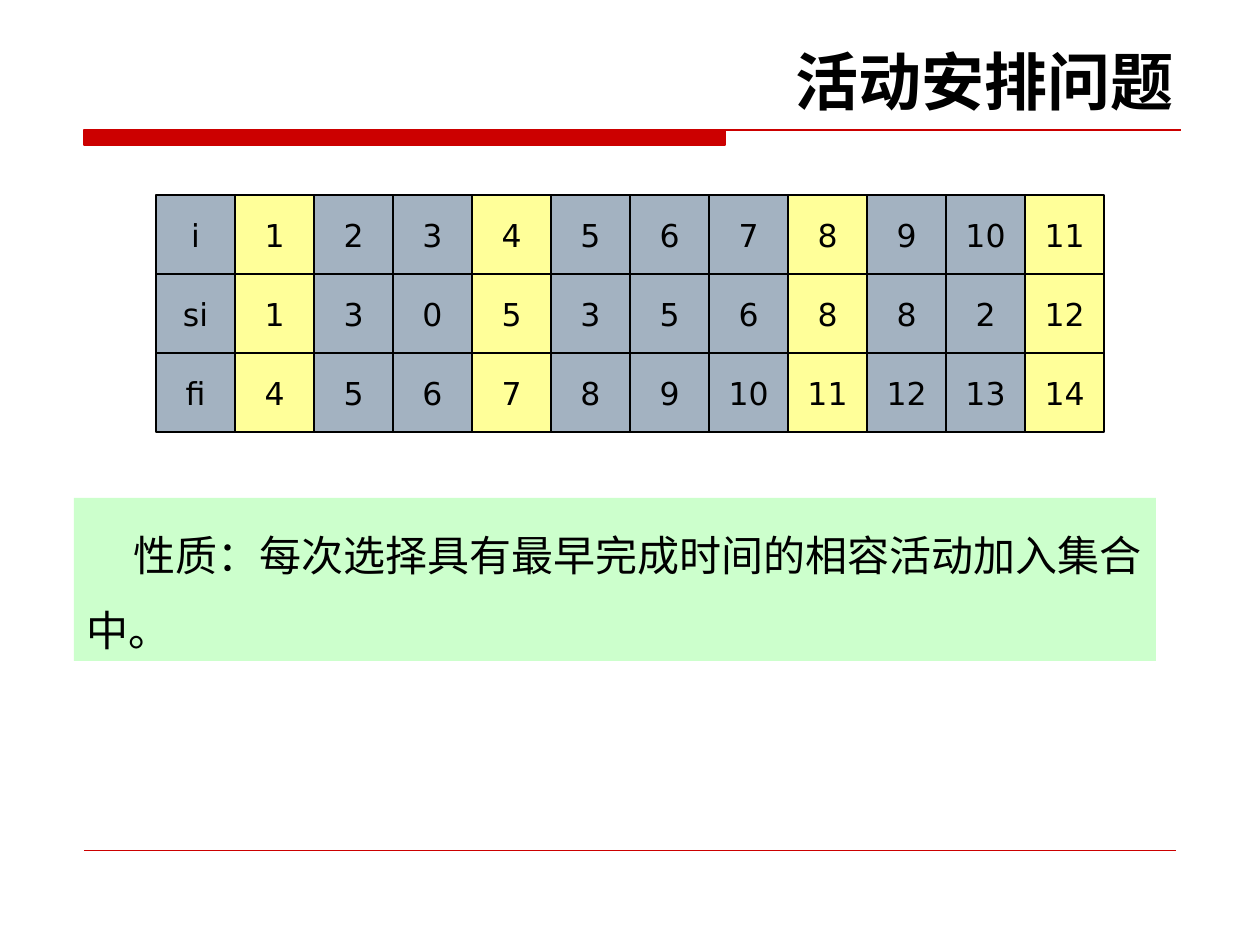
from dataclasses import dataclass

from lxml.etree import SubElement
from pptx import Presentation
from pptx.dml.color import RGBColor
from pptx.enum.shapes import MSO_CONNECTOR as Connector, MSO_SHAPE as Shape
from pptx.enum.text import MSO_ANCHOR as Anchor, PP_ALIGN as Align
from pptx.oxml.ns import qn
from pptx.util import Emu, Pt


@dataclass(frozen=True)
class Theme:
    """Colours, font and type sizes of the deck."""
    font: str = "DejaVu Sans"
    ink: str = "000000"
    accent: str = "CC0000"
    cell: str = "A3B2C1"
    chosen: str = "FFFF99"
    note: str = "CCFFCC"
    title_size: int = 36
    note_size: int = 24
    cell_size: int = 18


THEME = Theme()
SCALE = 914400 / 126
ACTIVITIES = (
    ("i", 1, 2, 3, 4, 5, 6, 7, 8, 9, 10, 11),
    ("si", 1, 3, 0, 5, 3, 5, 6, 8, 8, 2, 12),
    ("fi", 4, 5, 6, 7, 8, 9, 10, 11, 12, 13, 14),
)
CHOSEN = {1, 4, 8, 11}


def px(length):
    """Turn pixels into EMU."""
    return Emu(round(length * SCALE))


def write(frame, text, size, align, bold=False):
    """Put one formatted paragraph into a text frame and return it."""
    para = frame.paragraphs[0]
    para.alignment = align
    span = para.add_run()
    span.text = text
    formats = {"name": THEME.font, "size": Pt(size), "bold": bold}
    for name, value in formats.items():
        setattr(span.font, name, value)
    span.font.color.rgb = RGBColor.from_string(THEME.ink)
    return para


def paint(shape, fill, line=None):
    """Give a shape a solid fill and a thin line or none."""
    shape.shadow.inherit = False
    shape.fill.solid()
    shape.fill.fore_color.rgb = RGBColor.from_string(fill)
    if line:
        shape.line.color.rgb = RGBColor.from_string(line)
        shape.line.width = Pt(0.75)
    else:
        shape.line.fill.background()


def add_panel(page, left, top, width, height, fill, line=None):
    """Add a painted rectangle."""
    panel = page.shapes.add_shape(
        Shape.RECTANGLE, px(left), px(top), px(width), px(height))
    paint(panel, fill, line)
    return panel


def add_title_bar(page, left, top, width, height, bar_width):
    """Add a thick bar continued by a thin line."""
    outline = page.shapes.build_freeform(left, top, scale=SCALE)
    outline.add_line_segments([
        (left + bar_width, top), (left + bar_width, top + height),
        (left, top + height)], close=True)
    outline.move_to(left, top)
    outline.add_line_segments([(left + width, top)], close=False)
    paint(outline.convert_to_shape(), THEME.accent, THEME.accent)


def add_footer_rule(page, left, top, width):
    """Add the hairline at the foot of the page."""
    rule = page.shapes.add_connector(
        Connector.STRAIGHT, px(left), px(top), px(left + width), px(top))
    rule.line.color.rgb = RGBColor.from_string(THEME.accent)
    rule.line.width = Pt(0.25)
    SubElement(rule._element.spPr, qn("a:effectLst"))


def add_heading(page, left, top, width, height, text):
    """Add the right-aligned title."""
    box = page.shapes.add_textbox(px(left), px(top), px(width), px(height))
    box.text_frame.word_wrap = True
    write(box.text_frame, text, THEME.title_size, Align.RIGHT, bold=True)


def add_schedule(page, left, top, side, rows, chosen):
    """Add the grid of activity cells with the chosen columns highlighted."""
    for column, values in enumerate(zip(*rows)):
        fill = THEME.chosen if column in chosen else THEME.cell
        for row, value in enumerate(values):
            cell = add_panel(page, left + column * side, top + row * side,
                             side, side, fill, THEME.ink)
            cell.text_frame.word_wrap = False
            cell.text_frame.vertical_anchor = Anchor.MIDDLE
            write(cell.text_frame, str(value), THEME.cell_size, Align.CENTER)


def add_note(page, left, top, width, height, text):
    """Add the coloured note with an indented first line."""
    panel = add_panel(page, left, top, width, height, THEME.note)
    panel.text_frame.word_wrap = True
    panel.text_frame.vertical_anchor = Anchor.TOP
    para = write(panel.text_frame, text, THEME.note_size, Align.LEFT)
    para.line_spacing = 1.5
    para._p.get_or_add_pPr().set("indent", str(px(47)))


def main():
    """Build the deck and save it."""
    deck = Presentation()
    deck.slide_width, deck.slide_height = px(1260), px(945)
    page = deck.slides.add_slide(deck.slide_layouts[6])
    add_title_bar(page, 84, 130, 1097, 15, 641)
    add_footer_rule(page, 84, 850, 1092)
    add_heading(page, 64, 36, 1122, 88, "活动安排问题")
    add_schedule(page, 156, 195, 79, ACTIVITIES, CHOSEN)
    add_note(page, 74, 498, 1082, 163,
             "性质：每次选择具有最早完成时间的相容活动加入集合中。")
    deck.save("out.pptx")


if __name__ == "__main__":
    main()
